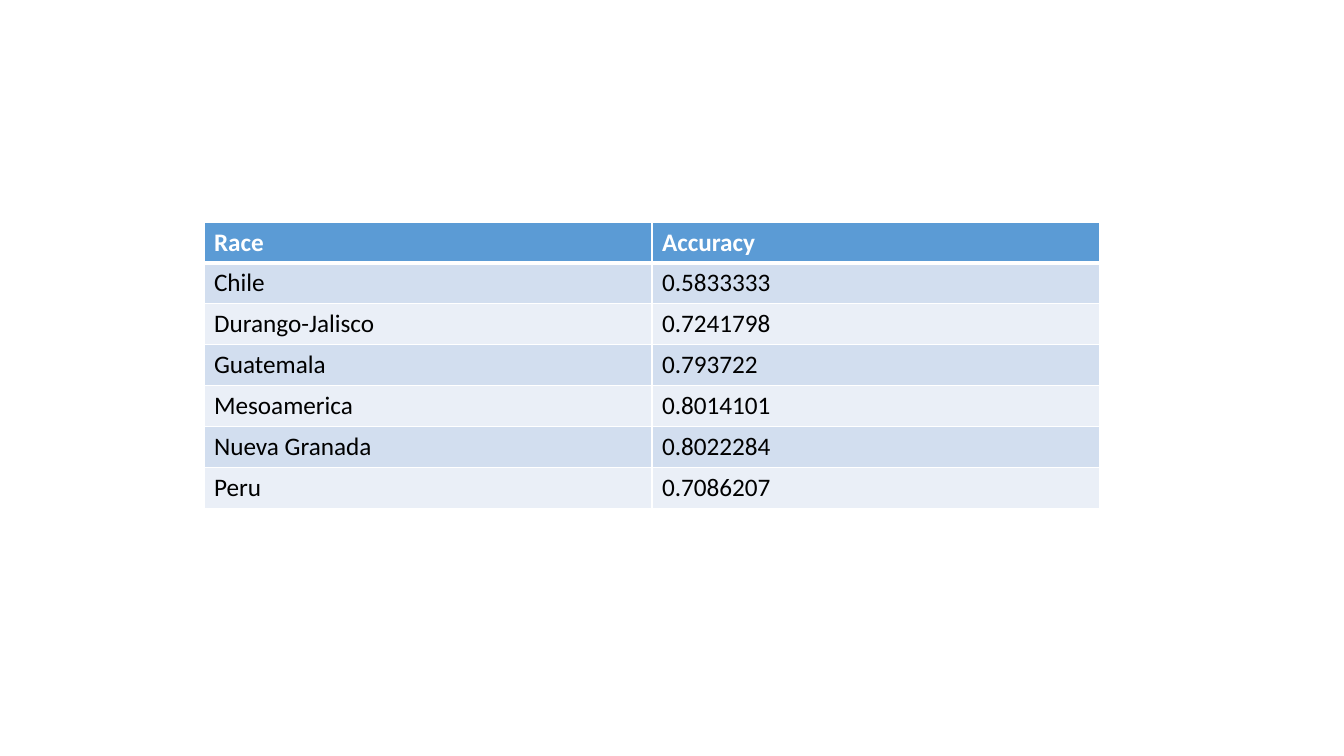
from typing import NamedTuple

from lxml import etree
from pptx import Presentation
from pptx import util as u
from pptx.dml import color
from pptx.oxml import ns


class Look(NamedTuple):
    fill: str
    ink: str
    bold: bool
    top: float
    base: float


class Score(NamedTuple):
    race: str
    value: str


HEAD = Look("5B9BD5", "FFFFFF", True, 1, 3)
FIRST = Look("D2DEEF", "000000", False, 3, 1)
DARK = FIRST._replace(top=1)
LIGHT = DARK._replace(fill="EAEFF7")

SCORES = [
    Score("Race", "Accuracy"),
    Score("Chile", "0.5833333"),
    Score("Durango-Jalisco", "0.7241798"),
    Score("Guatemala", "0.793722"),
    Score("Mesoamerica", "0.8014101"),
    Score("Nueva Granada", "0.8022284"),
    Score("Peru", "0.7086207"),
]
WIDTH, HEIGHT = 320, 29.2


def paint(target, code: str) -> None:
    target.rgb = color.RGBColor.from_string(code)


def edge(cell, side: str, width: float) -> None:
    props = cell._tc.get_or_add_tcPr()
    line = etree.SubElement(props, ns.qn(f"a:ln{side}"), w=str(u.Pt(width)))
    solid = etree.SubElement(line, ns.qn("a:solidFill"))
    etree.SubElement(solid, ns.qn("a:srgbClr"), val="FFFFFF")


def draw(cell, words: str, look: Look) -> None:
    for side, width in zip("LRTB", (1, 1, look.top, look.base)):
        edge(cell, side, width)
    cell.fill.solid()
    paint(cell.fill.fore_color, look.fill)
    cell.text_frame.text = words
    font = cell.text_frame.paragraphs[0].runs[0].font
    font.name, font.size, font.bold = "Calibri", u.Pt(18), look.bold
    paint(font.color, look.ink)


def style(row: int) -> Look:
    if row < 2:
        return (HEAD, FIRST)[row]
    return DARK if row % 2 else LIGHT


deck = Presentation()
deck.slide_width, deck.slide_height = u.Pt(960), u.Pt(540)
slide = deck.slides.add_slide(deck.slide_layouts[6])
count = len(SCORES)
table = slide.shapes.add_table(
    count, 2, u.Pt(145.7), u.Pt(158.6), u.Pt(2 * WIDTH), u.Pt(count * HEIGHT)
).table
for col in table.columns:
    col.width = u.Pt(WIDTH)
for i, score in enumerate(SCORES):
    table.rows[i].height = u.Pt(HEIGHT)
    for j, words in enumerate(score):
        draw(table.cell(i, j), words, style(i))

deck.save("out.pptx")
